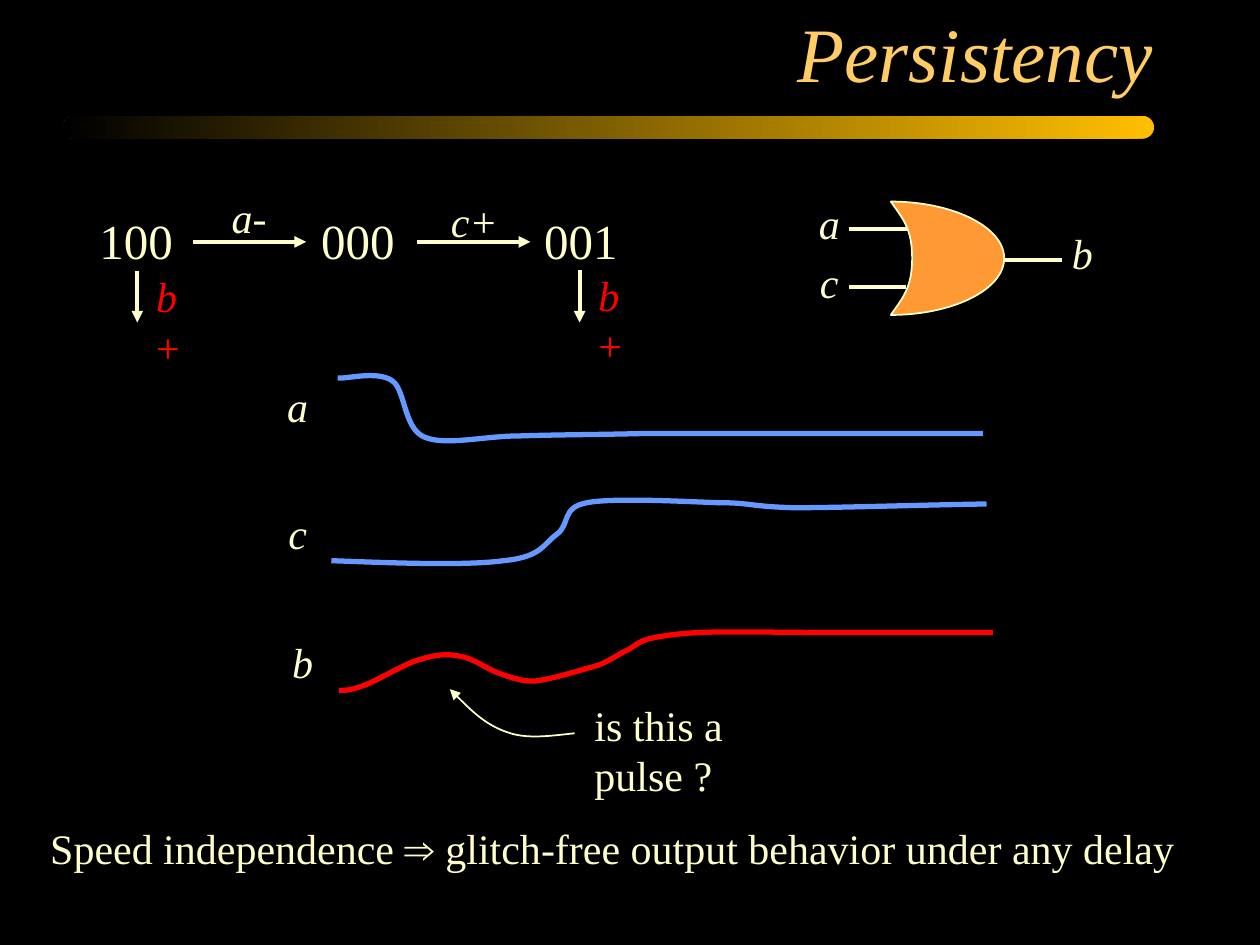
from lxml.etree import SubElement
from pptx import Presentation
from pptx.dml.color import RGBColor
from pptx.enum.shapes import MSO_CONNECTOR, MSO_SHAPE
from pptx.enum.text import MSO_ANCHOR, MSO_AUTO_SIZE, PP_ALIGN
from pptx.oxml.ns import qn
from pptx.util import Pt

PX = 9144  # 100 px to the inch
SERIF = "Times New Roman"
CREAM, RED, BLUE, ORANGE = "FFFFCC", "FF0000", "6699FF", "FF9933"
GOLD, AMBER, BLACK = "FFCC66", "FFBF00", "000000"


def px(*lengths):
    return [length * PX for length in lengths]


def color(hex_code):
    return RGBColor.from_string(hex_code)


def add_text(page, box, spans, size=24, ink=CREAM):
    """Add one unwrapped line; each span is (text, italic) or (text, italic, font)."""
    shape = page.shapes.add_textbox(*px(*box))
    frame = shape.text_frame
    frame.word_wrap = False
    frame.auto_size = MSO_AUTO_SIZE.SHAPE_TO_FIT_TEXT
    para = frame.paragraphs[0]
    for text, italic, *font in spans:
        span = para.add_run()
        span.text = text
        span.font.name = font[0] if font else SERIF
        span.font.size = Pt(size)
        span.font.italic = italic
        span.font.color.rgb = color(ink)
    return frame


def style_line(line, ink, width, arrow=False):
    line.color.rgb = color(ink)
    line.width = Pt(width)
    if arrow:
        SubElement(line._get_or_add_ln(), qn("a:tailEnd"), type="triangle")


def add_line(page, start, end, arrow=False):
    connector = page.shapes.add_connector(MSO_CONNECTOR.STRAIGHT, *px(*start, *end))
    style_line(connector.line, CREAM, 2.25, arrow)
    SubElement(connector._element.spPr, qn("a:effectLst"))


def add_curve(page, left, top, points, ink, width, fill=None, arrow=False):
    """Draw cubic curves: a start point, then three points for each segment."""
    points = [(left + x, top + y) for x, y in points]
    builder = page.shapes.build_freeform(*points[0], scale=PX)
    builder.add_line_segments(points[1:], close=fill is not None)
    shape = builder.convert_to_shape()
    shape.shadow.inherit = False
    if fill:
        shape.fill.solid()
        shape.fill.fore_color.rgb = color(fill)
    else:
        shape.fill.background()
    style_line(shape.line, ink, width, arrow)

    steps = list(shape._element.iter(qn("a:lnTo")))
    for index in range(0, len(steps), 3):
        first, *others = steps[index:index + 3]
        first.tag = qn("a:cubicBezTo")
        for step in others:
            first.append(step[0])
            step.getparent().remove(step)


def add_heading(page, left, top):
    bar = page.shapes.add_shape(MSO_SHAPE.ROUNDED_RECTANGLE,
                                *px(left, top + 84, 866, 18))
    bar.adjustments[0] = 0.5
    bar.shadow.inherit = False
    bar.line.fill.background()
    bar.fill.gradient()
    bar.fill.gradient_angle = 180
    for stop, ink in zip(bar.fill.gradient_stops, (AMBER, BLACK)):
        stop.color.rgb = color(ink)

    frame = add_text(page, (left + 25, top, 850, 75), [("Persistency", True)], 44, GOLD)
    frame.auto_size = MSO_AUTO_SIZE.NONE
    frame.word_wrap = True
    frame.vertical_anchor = MSO_ANCHOR.BOTTOM
    frame.paragraphs[0].alignment = PP_ALIGN.RIGHT


def add_state_graph(page, left, top):
    for x, state in ((0, "100"), (176, "000"), (353, "001")):
        add_text(page, (left + x, top + 15, 78, 57), [(state, False)], 28)
    for x in (84, 262):
        add_line(page, (left + x, top + 45), (left + x + 90, top + 45), arrow=True)
    for x, y, width, event in ((105, 0, 48, "a-"), (279, 3, 57, "c+")):
        add_text(page, (left + x, top + y, width, 50), [(event, True)])
    for x, y in ((40, 68), (391, 67)):
        add_line(page, (left + x, top + y), (left + x, top + 109), arrow=True)
        add_text(page, (left + x + 5, top + y - 5, 55, 50),
                 [("b", True), ("+", False)], ink=RED)


def add_gate(page, left, top):
    outline = [(67, 8), (76, 21), (84, 29), (84, 53), (84, 77), (76, 85), (67, 98),
               (116, 98), (157, 78), (157, 53), (157, 28), (116, 8), (67, 8)]
    add_curve(page, left, top, outline, CREAM, 1, fill=ORANGE)
    for start, end, y in ((158, 203, 54), (34, 80, 30), (34, 79, 76)):
        add_line(page, (left + start, top + y), (left + end, top + y))
    for x, y, signal in ((0, 0, "a"), (1, 47, "c"), (201, 24, "b")):
        add_text(page, (left + x, top + y, 36, 50), [(signal, True)])


def add_waveforms(page, left, top):
    falling = [(50, 3), (57, 4), (81, -3), (93, 5), (104, 12), (102, 43), (119, 50),
               (136, 57), (166, 49), (195, 49), (225, 48), (258, 48), (296, 47),
               (334, 47), (376, 47), (421, 47), (465, 47), (514, 47), (562, 47)]
    rising = [(45, 47), (98, 49), (152, 51), (182, 47), (212, 44), (213, 34), (224, 26),
              (235, 18), (227, 5), (248, 1), (269, -3), (324, 0), (351, 1),
              (379, 1), (376, 4), (412, 5), (448, 5), (506, 3), (565, 2)]
    pulsing = [(51, 48), (56, 48), (60, 48), (71, 44), (82, 40), (104, 26), (117, 23),
               (130, 19), (138, 19), (148, 21), (158, 23), (169, 31), (177, 34),
               (185, 37), (191, 39), (197, 40), (204, 41), (206, 41), (216, 39),
               (226, 37), (246, 31), (257, 28), (267, 24), (273, 19), (280, 16),
               (286, 13), (287, 10), (297, 7), (307, 5), (316, 3), (339, 2),
               (362, 1), (396, 2), (435, 2), (473, 2), (522, 2), (570, 2)]
    rows = (("a", 0, 0, falling, BLUE), ("c", 1, 101, rising, BLUE),
            ("b", 4, 203, pulsing, RED))
    for signal, x, y, points, ink in rows:
        add_curve(page, left, top + y, points, ink, 3)
        add_text(page, (left + x, top + y, 36, 50), [(signal, True)])


def add_question(page, left, top):
    pointer = [(99, 35), (80, 37), (61, 40), (45, 34), (28, 28), (14, 14), (0, 0)]
    add_curve(page, left, top, pointer, CREAM, 1, arrow=True)
    add_text(page, (left + 105, top + 3, 223, 50), [("is this a pulse ?", False)])


def add_conclusion(page, left, top):
    add_text(page, (left, top, 915, 50), [
        ("Speed independence ", False), ("⇒", False, "Arial"),
        (" glitch-free output behavior under any delay", False)])


def main():
    deck = Presentation()
    deck.slide_width, deck.slide_height = px(1000, 750)
    page = deck.slides.add_slide(deck.slide_layouts[6])
    page.background.fill.solid()
    page.background.fill.fore_color.rgb = color(BLACK)
    add_heading(page, 50, 8)
    add_state_graph(page, 69, 147)
    add_gate(page, 640, 152)
    add_waveforms(page, 218, 297)
    add_question(page, 357, 547)
    add_conclusion(page, 30, 648)
    deck.save("out.pptx")


if __name__ == "__main__":
    main()
